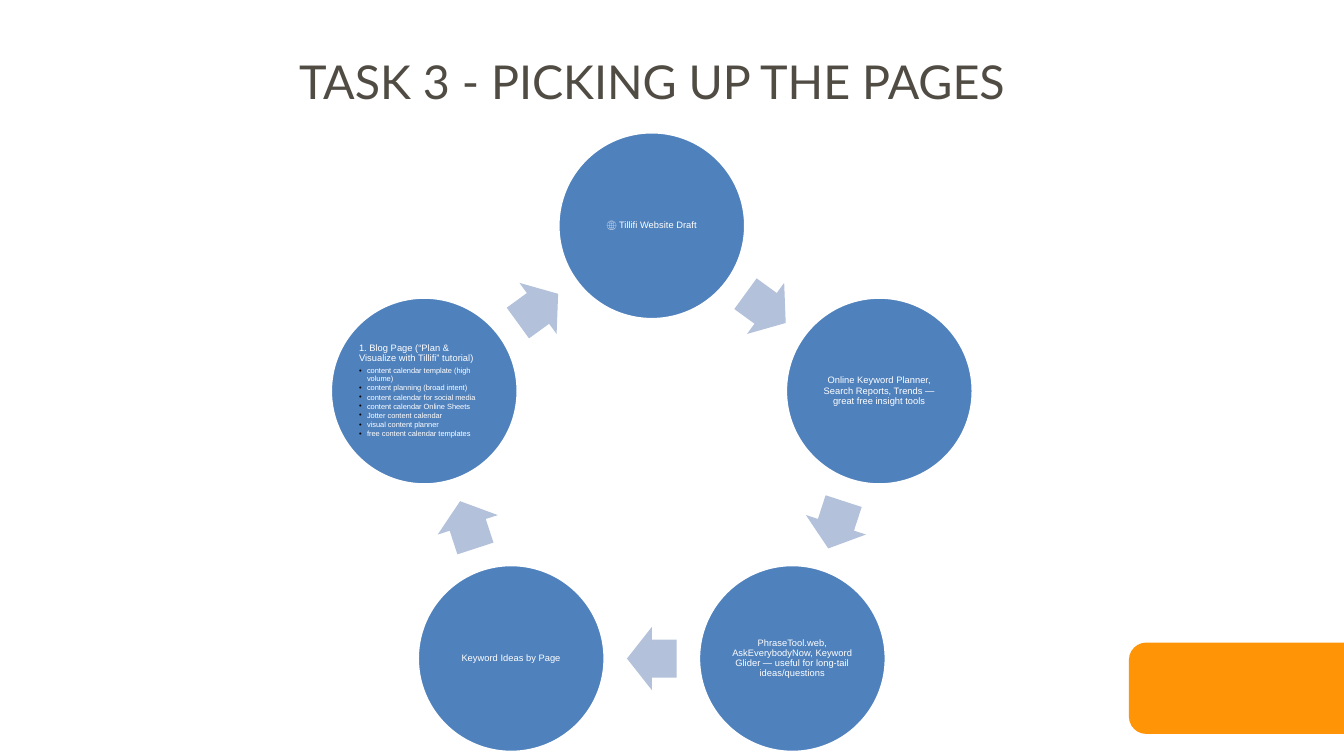
from math import cos, radians, sin

from lxml.etree import SubElement
from pptx import Presentation
from pptx.dml.color import RGBColor
from pptx.enum.shapes import MSO_SHAPE as Shape
from pptx.enum.text import MSO_ANCHOR as Anchor, MSO_AUTO_SIZE as AutoSize, PP_ALIGN as Align
from pptx.oxml.ns import qn
from pptx.util import Inches, Pt

ORANGE = RGBColor(0xFF, 0x94, 0x06)
BLUE = RGBColor(0x4F, 0x81, 0xBD)
PALE_BLUE = RGBColor(0xB3, 0xC1, 0xDB)
WHITE = RGBColor(0xFF, 0xFF, 0xFF)
BROWN = RGBColor(0x50, 0x4C, 0x44)

STEPS = [
    ["🌐 Tillifi Website Draft"],
    ["Online Keyword Planner, Search Reports, Trends — great free insight tools"],
    ["PhraseTool.web, AskEverybodyNow, Keyword Glider — useful for long-tail ideas/questions"],
    ["Keyword Ideas by Page"],
    [
        "1. Blog Page (“Plan & Visualize with Tillifi” tutorial)",
        "content calendar template (high volume)",
        "content planning (broad intent)",
        "content calendar for social media",
        "content calendar Online Sheets",
        "Jotter content calendar",
        "visual content planner",
        "free content calendar templates",
    ],
]
STEP_FONT = {"name": "Arial", "size": Pt(5), "color": WHITE}
BULLET_FONT = {**STEP_FONT, "size": Pt(4)}
TITLE_FONT = {"name": "Lato", "size": Pt(25), "color": BROWN}


def format_font(font, values):
    for name, value in values.items():
        if name == "color":
            font.color.rgb = value
        else:
            setattr(font, name, value)


def add_bullet(para):
    props = para._p.get_or_add_pPr()
    props.set("marL", str(Inches(0.06)))
    props.set("indent", str(-Inches(0.06)))
    color = SubElement(props, qn("a:buClr"))
    SubElement(color, qn("a:srgbClr"), val="000000")
    SubElement(props, qn("a:buFont"), typeface="Arial")
    SubElement(props, qn("a:buChar"), char="•")


deck = Presentation()
deck.slide_width = Inches(10)
deck.slide_height = deck.slide_width * 9 // 16
page = deck.slides.add_slide(deck.slide_layouts[5])
width, height = deck.slide_width, deck.slide_height

# Corner accent, running over the right edge
accent = page.shapes.add_shape(
    Shape.ROUNDED_RECTANGLE, int(width * 0.84), int(height * 0.85), Inches(1.76), Inches(0.68))
accent.adjustments[0] = 0.19
accent.shadow.inherit = False
accent.fill.solid()
accent.fill.fore_color.rgb = ORANGE
accent.line.fill.background()

# Title
title = page.shapes.title
title.left, title.top = int(width * 0.12), Inches(0.23)
title.width, title.height = int(width * 0.73), Inches(0.59)
frame = title.text_frame
frame_format = {"auto_size": AutoSize.NONE, "vertical_anchor": Anchor.TOP, "word_wrap": True,
                "margin_left": 0, "margin_top": 0, "margin_right": 0, "margin_bottom": 0}
for name, value in frame_format.items():
    setattr(frame, name, value)
frame.text = "TASK 3 - PICKING UP THE PAGES"
para = frame.paragraphs[0]
para.alignment, para.line_spacing = Align.CENTER, 1.4
format_font(para.font, TITLE_FONT)

# Cycle: five circles on a ring, an arrow halfway between neighbours
center_x, center_y, ring = Inches(4.85), Inches(3.46), Inches(1.78)
circle_size = Inches(1.4)
arrow_width, arrow_height = Inches(0.37), Inches(0.47)
turn = 360 / len(STEPS)
arrow_ring = ring * cos(radians(turn / 2))
cycle = page.shapes.add_group_shape()

for index, lines in enumerate(STEPS):
    angle = radians(index * turn)
    circle = cycle.shapes.add_shape(
        Shape.OVAL,
        int(center_x + ring * sin(angle) - circle_size / 2),
        int(center_y - ring * cos(angle) - circle_size / 2),
        circle_size, circle_size)
    circle.shadow.inherit = False
    circle.fill.solid()
    circle.fill.fore_color.rgb = BLUE
    circle.line.color.rgb = WHITE
    circle.line.width = Pt(2)

    frame = circle.text_frame
    frame.word_wrap, frame.vertical_anchor = True, Anchor.MIDDLE
    for side in ("left", "top", "right", "bottom"):
        setattr(frame, f"margin_{side}", Inches(0.01))
    for row, line in enumerate(lines):
        para = frame.add_paragraph() if row else frame.paragraphs[0]
        para.text = line
        para.alignment = Align.LEFT if len(lines) > 1 else Align.CENTER
        para.line_spacing = 0.9
        para.space_after = Pt(0.6 if row else 1.75)
        if row:
            para.level = 1
            add_bullet(para)
        format_font(para.runs[0].font, BULLET_FONT if row else STEP_FONT)

    angle = radians((index + 0.5) * turn)
    arrow = cycle.shapes.add_shape(
        Shape.RIGHT_ARROW,
        int(center_x + arrow_ring * sin(angle) - arrow_width / 2),
        int(center_y - arrow_ring * cos(angle) - arrow_height / 2),
        arrow_width, arrow_height)
    arrow.rotation = (index + 0.5) * turn
    arrow.adjustments[0], arrow.adjustments[1] = 0.6, 0.5
    arrow.shadow.inherit = False
    arrow.fill.solid()
    arrow.fill.fore_color.rgb = PALE_BLUE
    arrow.line.fill.background()

deck.save("out.pptx")
